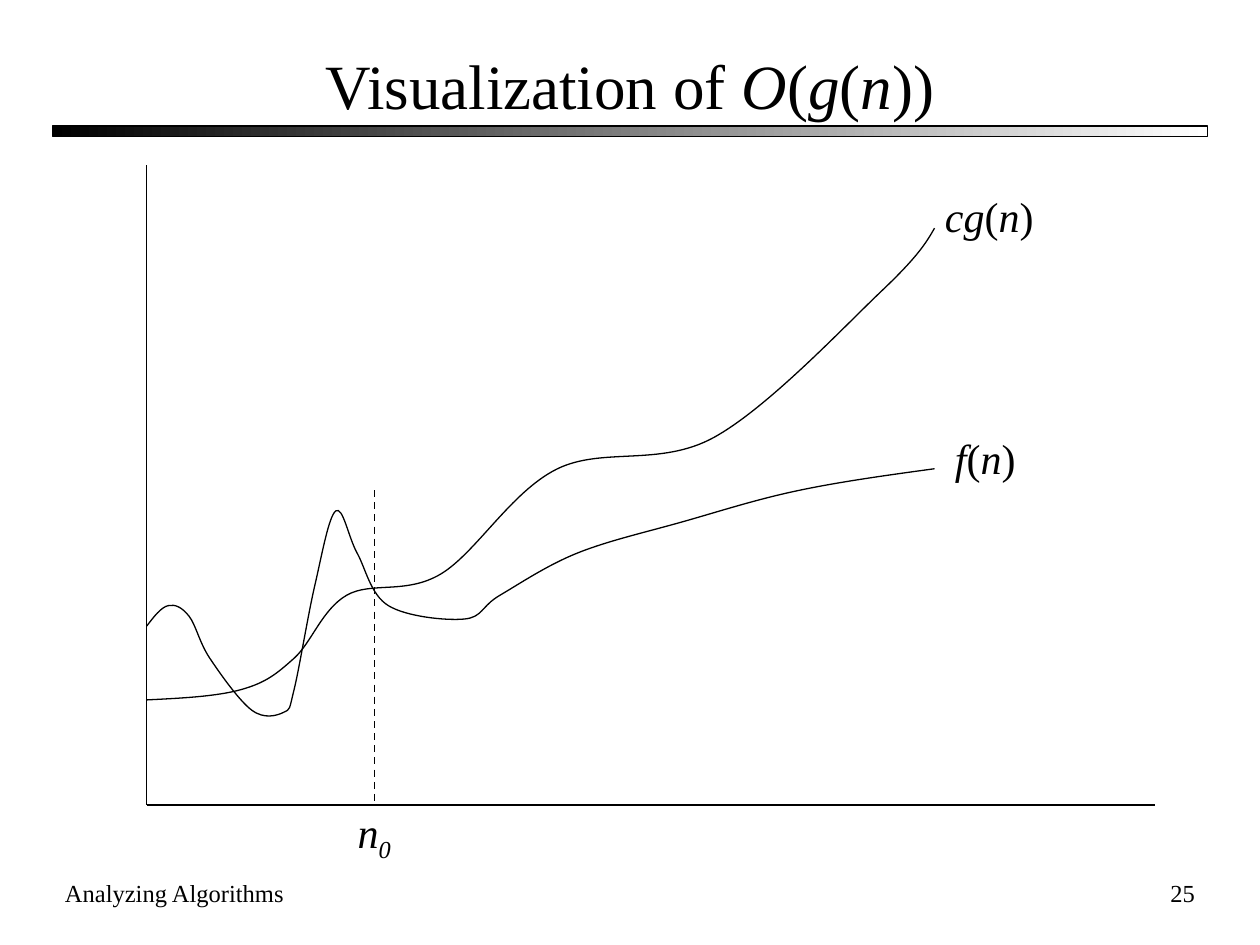
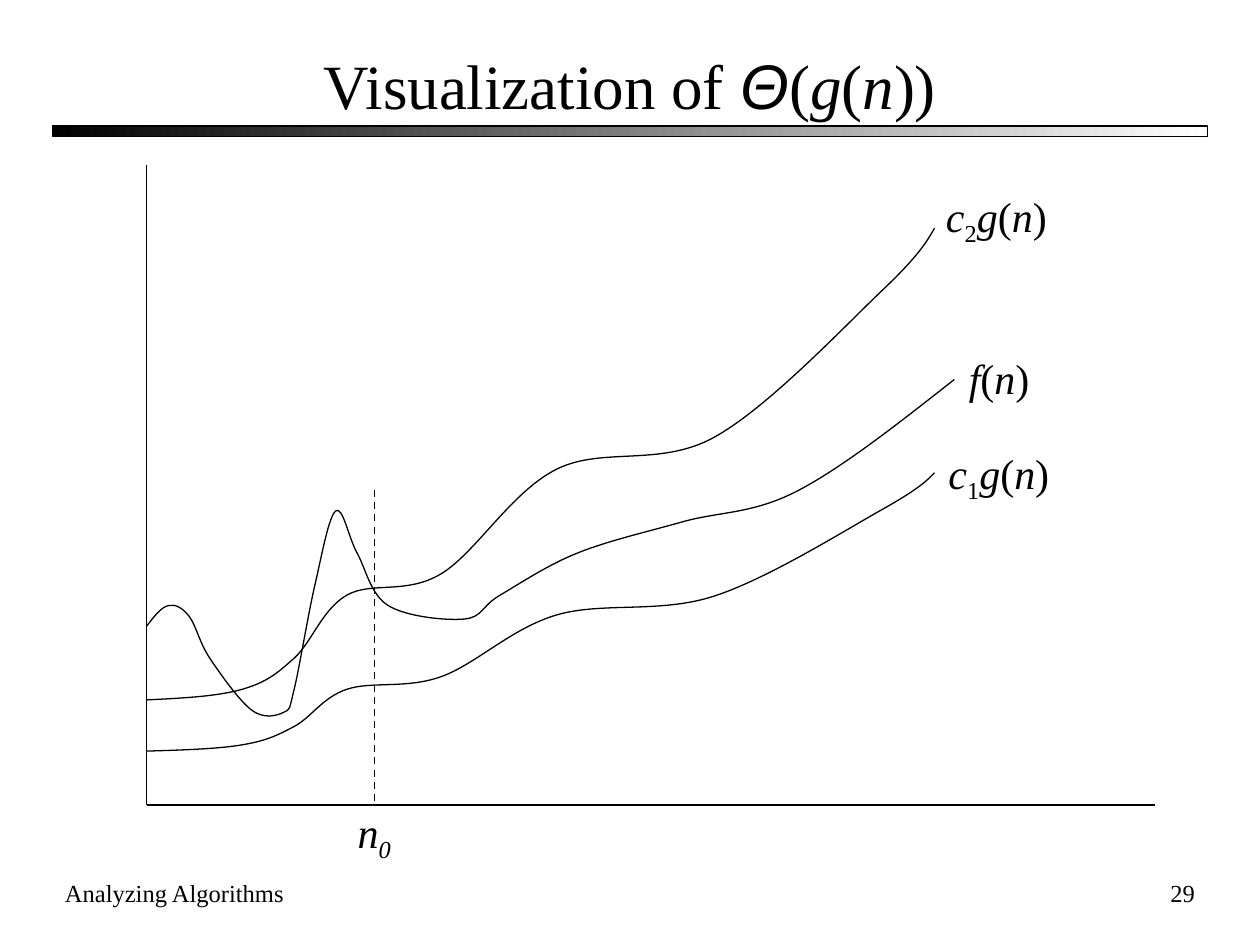
"""Two slides that visualize the growth bounds O(g(n)) and Θ(g(n))."""
from lxml import etree
from pptx import Presentation
from pptx import util as u
from pptx.dml.color import RGBColor
from pptx.enum import dml, shapes, text
from pptx.oxml import ns

INK, PAPER = "000000", "FFFFFF"
LEFT_EDGE, FULL_WIDTH = 1.06, 23.28
ORIGIN_X, ORIGIN_Y = 2.96, 16.23
N0_X = 7.55


def color(hex_code):
    return RGBColor.from_string(hex_code)


def write_runs(frame, runs, size, align):
    """Style marks: i italic, s subscript, a Arial."""
    paragraph = frame.paragraphs[0]
    paragraph.alignment = align
    for words, style in runs:
        run = paragraph.add_run()
        run.text = words
        run.font.size = u.Pt(size)
        run.font.name = "Arial" if "a" in style else "Times New Roman"
        run.font.italic = "i" in style
        run.font.color.rgb = color(INK)
        if "s" in style:
            run._r.get_or_add_rPr().set("baseline", "-25000")


upper_bound = [(2.96, 14.11), (4.87, 13.9), (5.93, 13.27), (6.99, 12), (8.89, 11.57),
               (11.22, 9.46), (14.39, 8.82), (17.78, 5.86), (18.84, 4.6)]
lower_bound = [(x, 9.53 + (y - 4.6) * 0.59) for x, y in upper_bound]
f_start = [(2.96, 12.62), (3.39, 12.21), (3.81, 12.42), (4.23, 13.27), (5.08, 14.32),
           (5.72, 14.36), (5.93, 13.9), (6.35, 11.79), (6.77, 10.3), (7.2, 11.15),
           (7.83, 12.21), (9.36, 12.48), (10.08, 12), (11.64, 11.15), (13.76, 10.52),
           (16.09, 9.89)]

of_n = [("(", ""), ("n", "i"), (")", "")]
f_of_n = [("f", "i")] + of_n
g_of_n = [("g", "i")] + of_n
pages = [
    dict(number="25", symbol=("O", "i"),
         curves=[upper_bound, f_start + [(18.84, 9.45)]],
         labels=[(18.8, 3.71, 2.29, [("cg", "i")] + of_n),
                 (19, 8.59, 1.73, f_of_n)]),
    dict(number="29", symbol=("Θ", "ia"),
         curves=[upper_bound, f_start + [(19.24, 7.65)], lower_bound],
         labels=[(18.82, 3.71, 2.54, [("c", "i"), ("2", "s")] + g_of_n),
                 (19.28, 6.99, 1.73, f_of_n),
                 (18.87, 8.89, 2.54, [("c", "i"), ("1", "s")] + g_of_n)]),
]
n0_label = (6.96, 16.13, 1.17, [("n", "i"), ("0", "is")])
axis_lines = [
    (ORIGIN_X, 3.33, ORIGIN_X, ORIGIN_Y, 0.75, None),
    (ORIGIN_X, ORIGIN_Y, 23.28, ORIGIN_Y, 0.75, None),
    (N0_X, 9.88, N0_X, ORIGIN_Y, 1, dml.MSO_LINE.DASH),
]

prs = Presentation()
prs.slide_width, prs.slide_height = u.Cm(25.4), u.Cm(19.05)

for page in pages:
    slide = prs.slides.add_slide(prs.slide_layouts[5])

    title = slide.shapes.title
    title.left, title.top = u.Cm(LEFT_EDGE), u.Cm(0.85)
    title.width, title.height = u.Cm(FULL_WIDTH), u.Cm(1.69)
    title.text_frame.auto_size = text.MSO_AUTO_SIZE.NONE
    title.text_frame.vertical_anchor = text.MSO_ANCHOR.MIDDLE
    title_runs = [("Visualization of ", ""), page["symbol"], ("(", "")] + g_of_n + [(")", "")]
    write_runs(title.text_frame, title_runs, 36, text.PP_ALIGN.CENTER)

    band = slide.shapes.add_shape(shapes.MSO_SHAPE.RECTANGLE, u.Cm(LEFT_EDGE), u.Cm(2.54),
                                  u.Cm(FULL_WIDTH), u.Cm(0.21))
    band.shadow.inherit = False
    band.fill.gradient()
    band.fill.gradient_angle = 0
    for stop, shade in zip(band.fill.gradient_stops, (INK, PAPER)):
        stop.color.rgb = color(shade)
    band.line.color.rgb = color(INK)
    band.line.width = u.Pt(0.75)

    for x1, y1, x2, y2, weight, dash in axis_lines:
        axis = slide.shapes.add_connector(shapes.MSO_CONNECTOR.STRAIGHT,
                                          u.Cm(x1), u.Cm(y1), u.Cm(x2), u.Cm(y2))
        axis.line.color.rgb = color(INK)
        axis.line.width = u.Pt(weight)
        axis.line.dash_style = dash
        etree.SubElement(axis._element.spPr, ns.qn("a:effectLst"))

    for knots in page["curves"]:
        before, after = [], []
        for (xa, ya), (xb, yb), (xc, yc) in zip(knots, knots[1:], knots[2:]):
            dx, dy = (xc - xa) / 6, (yc - ya) / 6
            before.append((xb - dx, yb - dy))
            after.append((xb + dx, yb + dy))
        first = tuple((a + b) / 2 for a, b in zip(knots[0], before[0]))
        last = tuple((a + b) / 2 for a, b in zip(knots[-1], after[-1]))
        bends = zip([first] + after, before + [last], knots[1:])
        points = [(u.Cm(x), u.Cm(y)) for bend in bends for x, y in bend]

        builder = slide.shapes.build_freeform(u.Cm(knots[0][0]), u.Cm(knots[0][1]))
        builder.add_line_segments(points, close=False)
        curve = builder.convert_to_shape()
        outline = curve._element.find(".//" + ns.qn("a:path"))
        segments = outline.findall(ns.qn("a:lnTo"))
        for start in range(0, len(segments), 3):
            bezier = etree.SubElement(outline, ns.qn("a:cubicBezTo"))
            for segment in segments[start:start + 3]:
                bezier.append(segment[0])
                outline.remove(segment)
        curve.shadow.inherit = False
        curve.fill.background()
        curve.line.color.rgb = color(INK)
        curve.line.width = u.Pt(0.75)

    for left, top, width, runs in [n0_label] + page["labels"]:
        label = slide.shapes.add_textbox(u.Cm(left), u.Cm(top), u.Cm(width), u.Cm(1.28))
        label.text_frame.word_wrap = False
        write_runs(label.text_frame, runs, 24, text.PP_ALIGN.LEFT)

    for left, width, words, align in [
            (LEFT_EDGE, 8.89, "Analyzing Algorithms", text.PP_ALIGN.LEFT),
            (19.05, 5.29, page["number"], text.PP_ALIGN.RIGHT)]:
        footer = slide.shapes.add_textbox(u.Cm(left), u.Cm(17.57), u.Cm(width), u.Cm(1.27))
        footer.text_frame.word_wrap = True
        write_runs(footer.text_frame, [(words, "")], 14, align)

prs.save("out.pptx")
